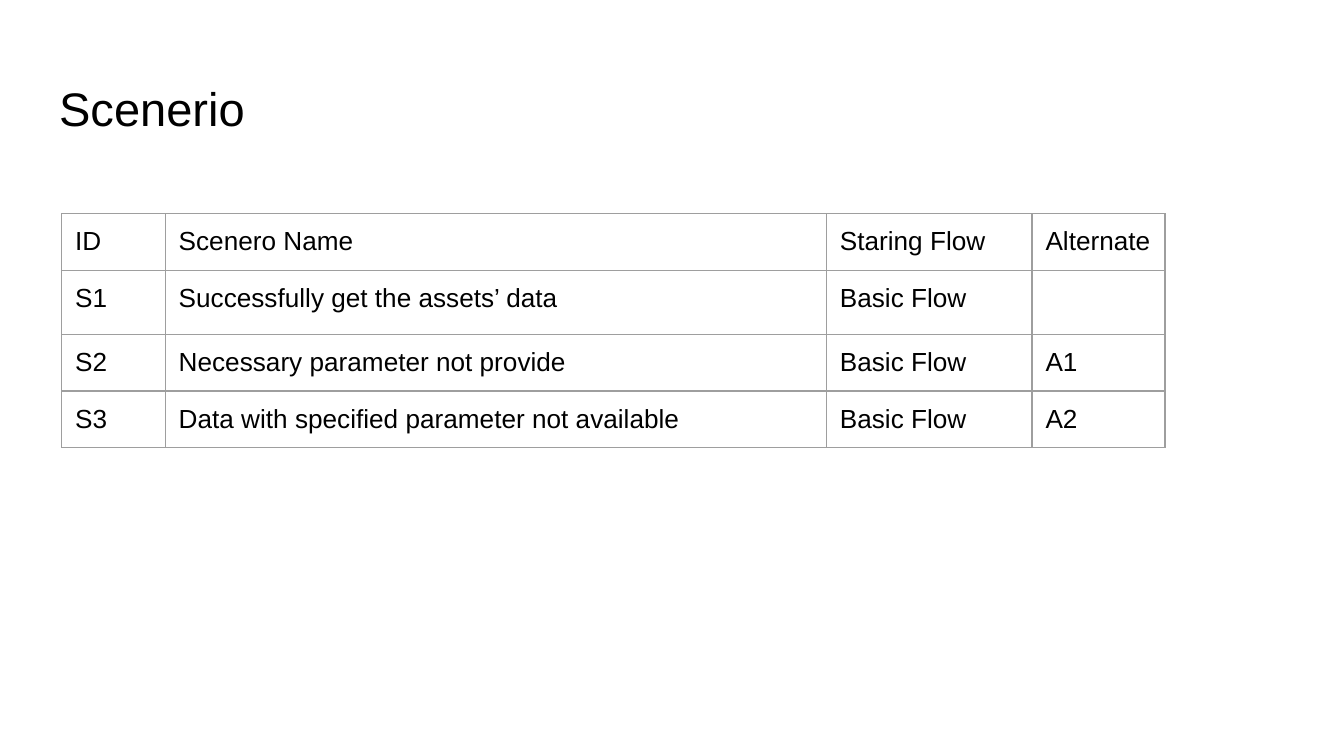
import pptx
import pptx.util
import pptx.dml.color
import pptx.enum.text
import pptx.oxml
import pptx.oxml.ns
from pptx.util import Inches

COLORS = {"background": "FFFFFF", "text": "000000", "border": "9E9E9E"}
FONT = "Arial"
INSET = Inches(0.1)
COLUMN_WIDTHS = [0.77, 4.92, 1.53, 0.99]
ROW_HEIGHT = 0.42
SCENARIOS = [
    ["ID", "Scenero Name", "Staring Flow", "Alternate"],
    ["S1", "Successfully get the assets’ data", "Basic Flow", ""],
    ["S2", "Necessary parameter not provide", "Basic Flow ", "A1"],
    ["S3", "Data with specified parameter not available", "Basic Flow ", "A2"],
]


def rgb(name):
    return pptx.dml.color.RGBColor.from_string(COLORS[name])


def set_text(tf, text, size):
    tf.text = text
    p = tf.paragraphs[0]
    p.alignment = pptx.enum.text.PP_ALIGN.LEFT
    for r in p.runs:
        r.font.name = FONT
        r.font.size = pptx.util.Pt(size)
        r.font.bold = False
        r.font.color.rgb = rgb("text")


def set_empty_font(tf, size):
    tf.paragraphs[0]._p.append(pptx.oxml.parse_xml(
        f'<a:endParaRPr {pptx.oxml.ns.nsdecls("a")} sz="{size * 100}">'
        f'<a:latin typeface="{FONT}"/></a:endParaRPr>'
    ))


def set_insets(target):
    target.margin_left = target.margin_right = INSET
    target.margin_top = target.margin_bottom = INSET
    target.vertical_anchor = pptx.enum.text.MSO_ANCHOR.TOP


def set_borders(cell):
    tcPr = cell._tc.get_or_add_tcPr()
    for i, side in enumerate(["lnL", "lnR", "lnT", "lnB"]):
        ln = pptx.oxml.parse_xml(
            f'<a:{side} {pptx.oxml.ns.nsdecls("a")} w="{pptx.util.Pt(0.75)}">'
            f'<a:solidFill><a:srgbClr val="{COLORS["border"]}"/></a:solidFill>'
            f'<a:prstDash val="solid"/></a:{side}>'
        )
        tcPr.insert(i, ln)


def add_title(s, text):
    sp = s.shapes.title
    sp.left, sp.top = Inches(0.34), Inches(0.49)
    sp.width, sp.height = Inches(9.32), Inches(0.63)
    tf = sp.text_frame
    set_insets(tf)
    tf.word_wrap = True
    tf.auto_size = pptx.enum.text.MSO_AUTO_SIZE.NONE
    set_text(tf, text, 25.2)


def add_grid(s, rows, left, top):
    frame = s.shapes.add_table(
        len(rows), len(COLUMN_WIDTHS), Inches(left), Inches(top),
        Inches(sum(COLUMN_WIDTHS)), Inches(ROW_HEIGHT * len(rows)),
    )
    table = frame.table
    table.first_row = table.horz_banding = False
    for column, width in zip(table.columns, COLUMN_WIDTHS):
        column.width = Inches(width)
    for row, texts in zip(table.rows, rows):
        row.height = Inches(ROW_HEIGHT)
        for cell, text in zip(row.cells, texts):
            set_insets(cell)
            cell.fill.background()
            set_borders(cell)
            if text:
                set_text(cell.text_frame, text, 14)
            else:
                set_empty_font(cell.text_frame, 18)


def main():
    prs = pptx.Presentation()
    prs.slide_width = Inches(10)
    prs.slide_height = prs.slide_width * 9 // 16
    s = prs.slides.add_slide(prs.slide_layouts[5])
    s.background.fill.solid()
    s.background.fill.fore_color.rgb = rgb("background")
    add_title(s, "Scenerio")
    add_grid(s, SCENARIOS, 0.46, 1.59)
    prs.save("out.pptx")


main()
